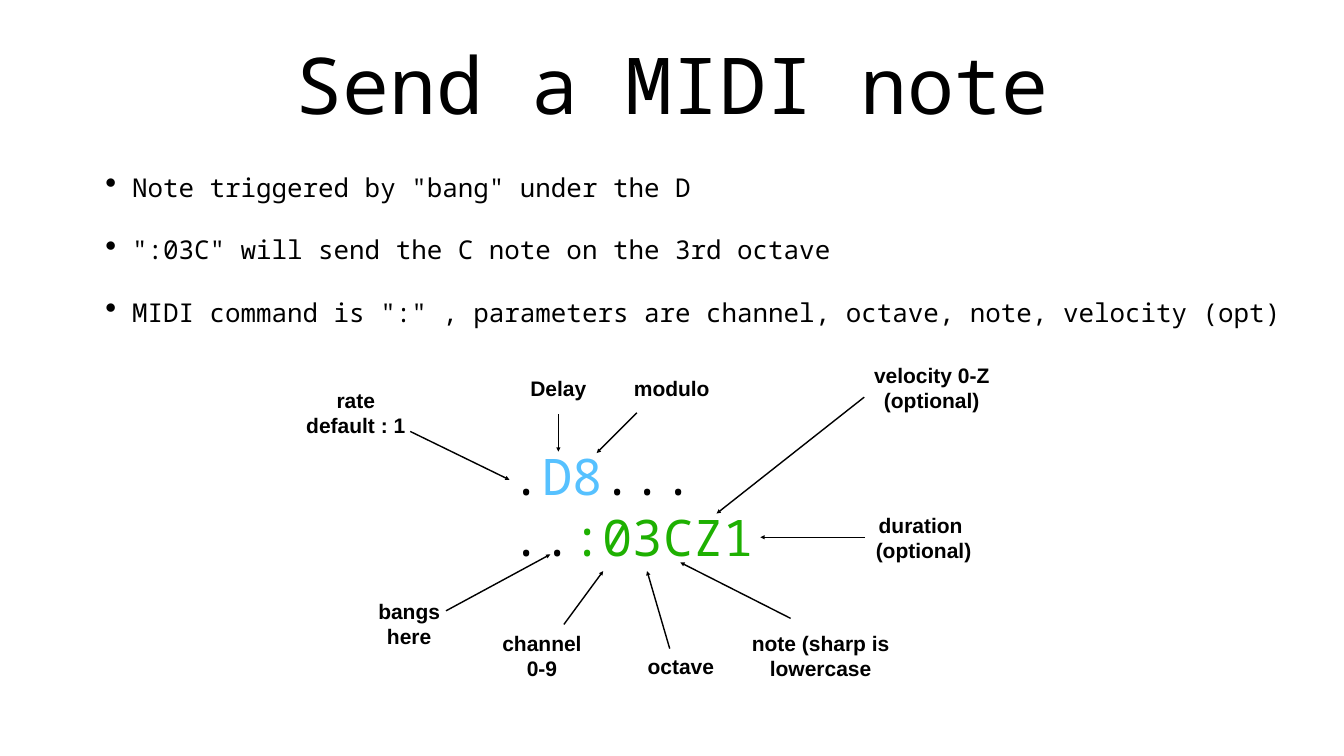
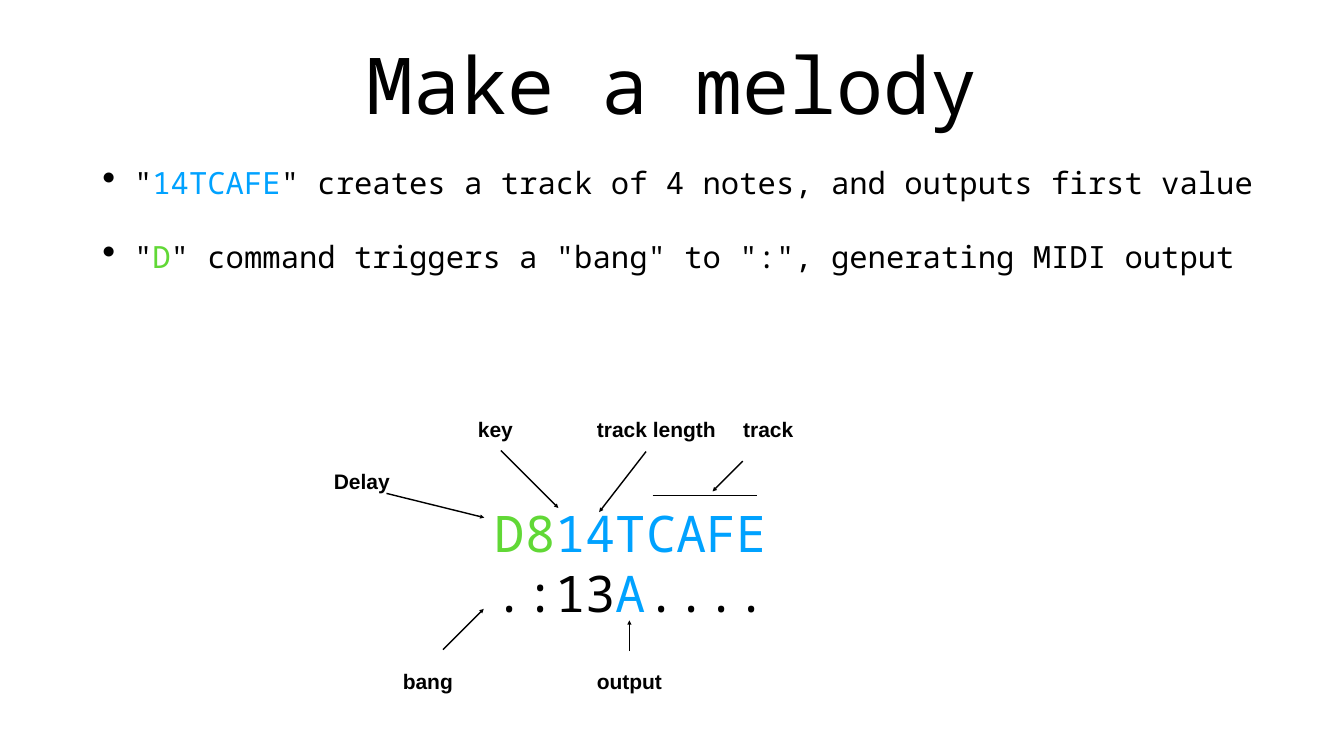
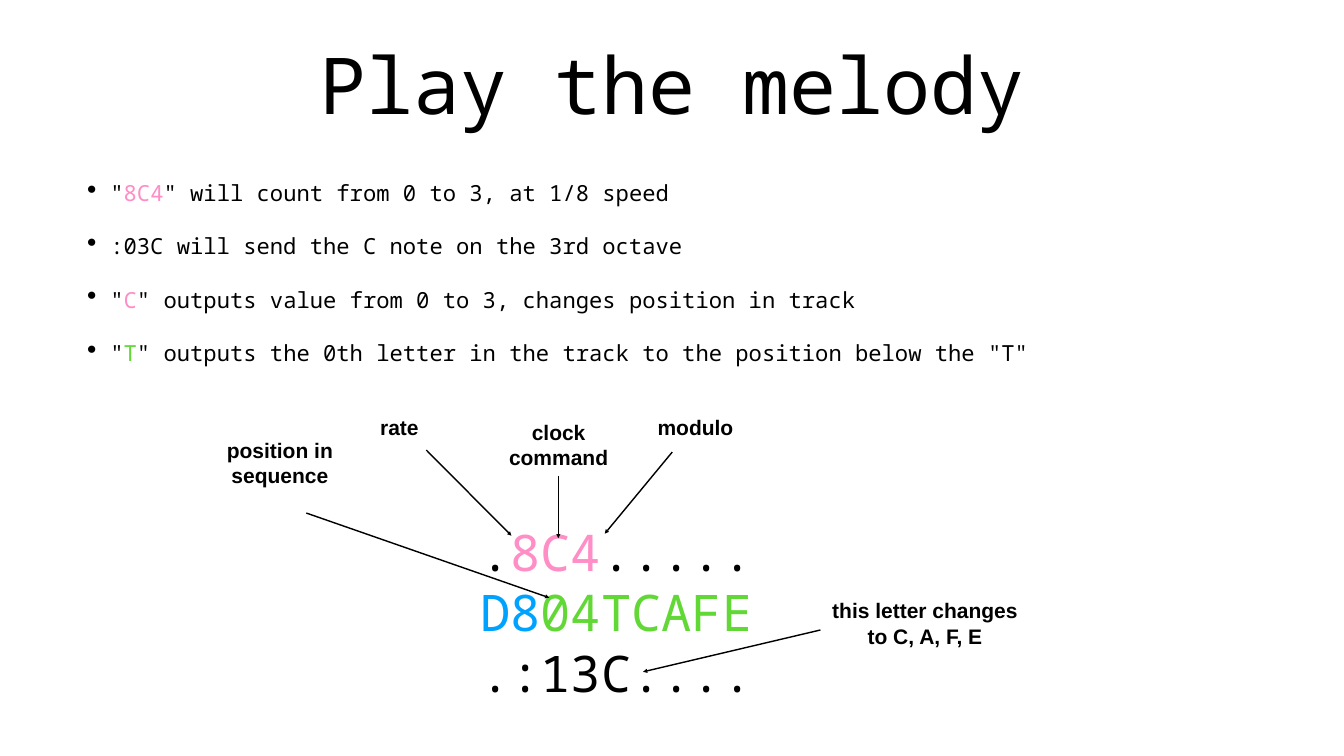
from dataclasses import dataclass

import lxml.etree
import pptx
import pptx.dml.color
import pptx.enum.shapes
import pptx.enum.text
import pptx.oxml.ns
import pptx.util

Inches = pptx.util.Inches
Pt = pptx.util.Pt
Align = pptx.enum.text.PP_ALIGN
Anchor = pptx.enum.text.MSO_ANCHOR
qn = pptx.oxml.ns.qn


@dataclass(frozen=True)
class Theme:
    """Colours, fonts and type sizes shared by the slides."""
    ink: str = "000000"
    blue: str = "00A2FF"
    sky: str = "56C1FF"
    green: str = "61D836"
    leaf: str = "1EB001"
    pink: str = "FF8DC6"
    mono: str = "Noto Sans Mono"
    sans: str = "Arial"
    title_pt: float = 112
    code_pt: float = 72
    label_pt: float = 30
    line_pt: float = 2
    inset: float = 0.06
    label_slack: float = 0.05


T = Theme()


def add_text(slide, box, paragraphs, font, size, bold=False, align=Align.LEFT,
             anchor=Anchor.MIDDLE, wrap=True, grow=False):
    """Add a text box; each paragraph is a string or a list of (text, colour) runs."""
    sp = slide.shapes.add_textbox(*map(Inches, box))
    tf = sp.text_frame
    tf.word_wrap = wrap
    auto = pptx.enum.text.MSO_AUTO_SIZE
    tf.auto_size = auto.SHAPE_TO_FIT_TEXT if grow else auto.NONE
    tf.vertical_anchor = anchor
    tf.margin_left = tf.margin_right = tf.margin_top = tf.margin_bottom = Inches(T.inset)
    for i, runs in enumerate(paragraphs):
        p = tf.add_paragraph() if i else tf.paragraphs[0]
        p.alignment = align
        for text, color in [(runs, T.ink)] if isinstance(runs, str) else runs:
            r = p.add_run()
            r.text = text
            r.font.name = font
            r.font.size = Pt(size)
            r.font.bold = bold
            r.font.color.rgb = pptx.dml.color.RGBColor.from_string(color)
    return sp


def add_title(slide, text):
    """Add the centred slide title."""
    add_text(slide, (1.85, 0.39, 22.97, 2.5), [text], T.mono, T.title_pt, align=Align.CENTER)


def add_bullets(slide, box, size, paragraphs):
    """Add a bullet list whose indent and spacing follow the type size."""
    sp = add_text(slide, box, paragraphs, T.mono, size, anchor=Anchor.TOP)
    indent = Inches(round(size * 0.0144, 2))
    for p in sp.text_frame.paragraphs:
        p.space_before = Pt(round(size * 1.21))
        pPr = p._p.get_or_add_pPr()
        pPr.set("marL", str(indent))
        pPr.set("indent", str(-indent))
        lxml.etree.SubElement(pPr, qn("a:buSzPct"), val="125000")
        lxml.etree.SubElement(pPr, qn("a:buChar"), char="•")


def add_code(slide, left, top, rows):
    """Add the large code sample."""
    height = 0.12 + 1.19 * len(rows)
    add_text(slide, (left, top, 7.73, height), rows, T.mono, T.code_pt, grow=True)


def add_label(slide, left, top, width, *rows, wrap=False):
    """Add a bold centred caption, with a little slack so that its rows never break."""
    box = (left - T.label_slack, top, width + 2 * T.label_slack, 0.09 + 0.52 * len(rows))
    add_text(slide, box, rows, T.sans, T.label_pt, bold=True,
             align=Align.CENTER, wrap=wrap, grow=True)


def add_line(slide, x1, y1, x2, y2, arrow=True):
    """Add a straight line, with an arrowhead at its end unless told otherwise."""
    straight = pptx.enum.shapes.MSO_CONNECTOR.STRAIGHT
    sp = slide.shapes.add_connector(straight, *map(Inches, (x1, y1, x2, y2)))
    sp.line.color.rgb = pptx.dml.color.RGBColor.from_string(T.ink)
    sp.line.width = Pt(T.line_pt)
    if arrow:
        lxml.etree.SubElement(sp.line._get_or_add_ln(), qn("a:tailEnd"), type="triangle")
    lxml.etree.SubElement(sp._element.spPr, qn("a:effectLst"))


def add_callouts(slide, arrows, labels):
    """Add the arrows and captions around a code sample."""
    for arrow in arrows:
        add_line(slide, *arrow)
    for label in labels:
        add_label(slide, *label)


def build_note(slide):
    """Build the slide on sending a MIDI note."""
    add_title(slide, "Send a MIDI note")
    add_bullets(slide, (2.03, 3.34, 23.48, 3.84), 37, [
        'Note triggered by "bang" under the D',
        '":03C" will send the C note on the 3rd octave',
        'MIDI command is ":" , parameters are channel, octave, note, velocity (opt)',
    ])
    add_code(slide, 10.1, 8.79, [
        [(".", T.ink), ("D8", T.sky), ("...", T.ink)],
        [("..", T.ink), (":03CZ1", T.leaf)],
    ])
    add_callouts(slide, [
        (8.14, 8.56, 10.11, 9.52),
        (12.64, 8.19, 11.84, 8.99),
        (11.19, 12.39, 11.97, 11.33),
        (13.29, 12.87, 12.84, 11.33),
        (15.69, 12.27, 13.5, 11.16),
        (11.08, 8.22, 11.08, 8.96),
        (17.15, 7.88, 14.22, 10.19),
        (17.17, 10.66, 15.09, 10.66),
        (8.85, 12.12, 10.92, 11),
    ], [
        (6.02, 7.62, 2.08, "rate", "default : 1"),
        (12.52, 7.39, 1.62, "modulo"),
        (9.91, 12.44, 1.69, "channel", "0-9"),
        (12.78, 12.91, 1.46, "octave"),
        (14.87, 12.44, 2.83, "note (sharp is", "lowercase"),
        (10.46, 7.39, 1.24, "Delay"),
        (17.27, 7.13, 2.44, "velocity 0-Z", "(optional)"),
        (17.22, 10.1, 2.1, "duration", " (optional)"),
        (7.45, 11.81, 1.34, "bangs", "here"),
    ])


def build_melody(slide):
    """Build the slide on making a melody."""
    add_title(slide, "Make a melody")
    add_bullets(slide, (1.97, 3.19, 22.97, 2.93), 43.7, [
        [('"', T.ink), ("14TCAFE", T.blue),
         ('" creates a track of 4 notes, and outputs first value', T.ink)],
        [('"', T.ink), ("D", T.green),
         ('" command triggers a "bang" to ":", generating MIDI output', T.ink)],
    ])
    add_code(slide, 9.76, 9.91, [
        [("D8", T.green), ("14TCAFE", T.blue)],
        [(".:13", T.ink), ("A", T.blue), ("....", T.ink)],
    ])
    add_line(slide, 12.95, 9.83, 15.03, 9.83, arrow=False)
    add_callouts(slide, [
        (7.67, 9.79, 9.61, 10.27),
        (12.82, 8.96, 11.89, 10.16),
        (14.74, 9.15, 14.14, 9.75),
        (9.94, 8.94, 11.08, 10.08),
        (8.79, 12.89, 9.6, 12.08),
        (12.49, 12.92, 12.49, 12.31),
    ], [
        (11.77, 8.21, 2.51, "track length"),
        (6.56, 9.25, 1.24, "Delay"),
        (14.67, 8.21, 1.15, "track"),
        (9.42, 8.21, 0.82, "key"),
        (7.93, 13.21, 1.12, "bang"),
        (11.78, 13.21, 1.42, "output"),
    ])


def build_playback(slide):
    """Build the slide on playing the melody."""
    add_title(slide, "Play the melody")
    add_bullets(slide, (1.67, 3.5, 22.81, 3.84), 31.7, [
        [('"', T.ink), ("8C4", T.pink), ('" will count from 0 to 3, at 1/8 speed', T.ink)],
        ":03C will send the C note on the 3rd octave",
        [('"', T.ink), ("C", T.pink),
         ('" outputs value from 0 to 3, changes position in track', T.ink)],
        [('"', T.ink), ("T", T.green),
         ('" outputs the 0th letter in the track to the position below the "T"', T.ink)],
    ])
    add_code(slide, 9.47, 10.29, [
        [(".", T.ink), ("8C4", T.pink), (".....", T.ink)],
        [("D8", T.blue), ("04TCAFE", T.green)],
        ".:13C....",
    ])
    add_callouts(slide, [
        (11.08, 9.44, 11.08, 10.68),
        (13.34, 8.97, 12, 10.59),
        (8.46, 8.93, 10.15, 10.63),
        (6.08, 10.18, 10.9, 11.86),
        (16.28, 12.5, 12.76, 13.33),
    ], [
        (10.03, 8.26, 2.11, "clock", "command"),
        (12.99, 8.17, 1.62, "modulo"),
        (7.47, 8.17, 0.91, "rate"),
        (16.45, 11.8, 3.81, "this letter changes", "to C, A, F, E"),
    ])
    add_label(slide, 4.12, 8.62, 2.87, "position in", "sequence", wrap=True)


def main():
    """Build and save the presentation."""
    prs = pptx.Presentation()
    prs.slide_width = Inches(26.67)
    prs.slide_height = Inches(15)
    for build in (build_note, build_melody, build_playback):
        build(prs.slides.add_slide(prs.slide_layouts[6]))
    prs.save("out.pptx")


if __name__ == "__main__":
    main()
